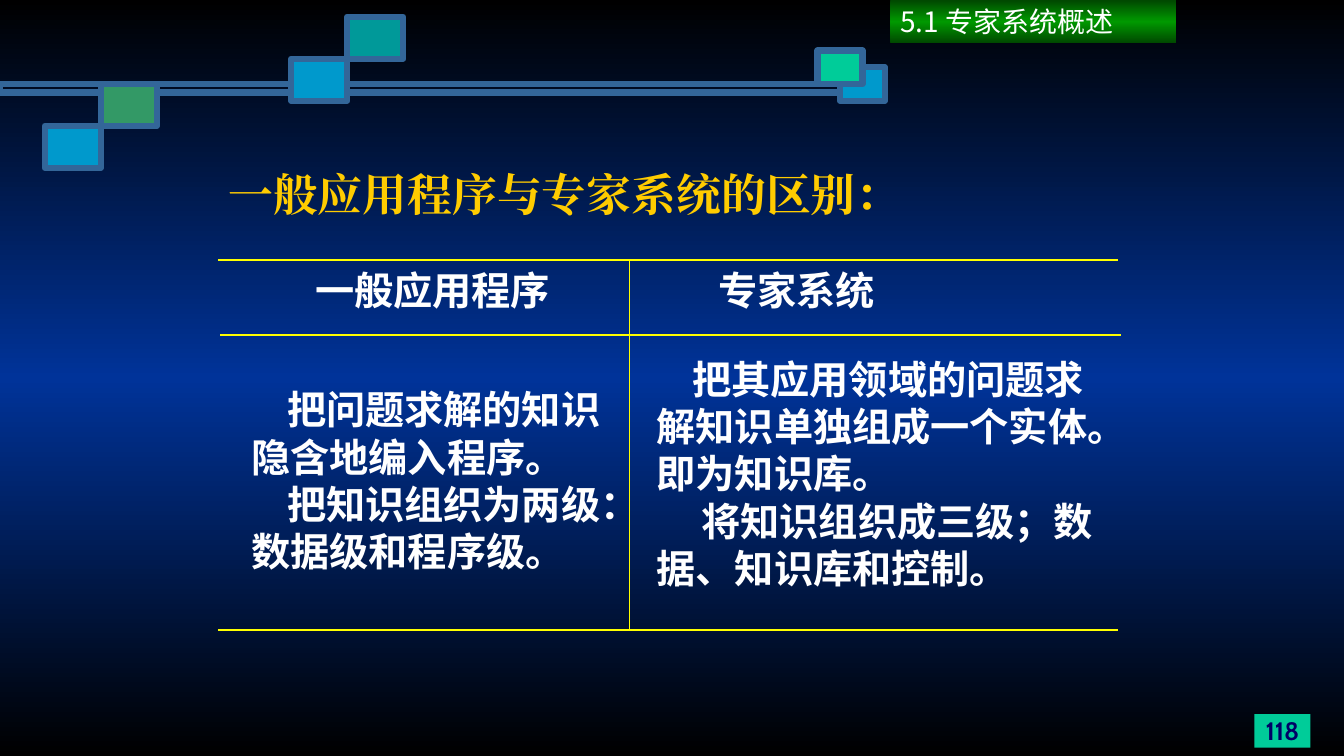
from lxml import etree
from pptx import Presentation
from pptx import util as u
from pptx.dml.color import RGBColor
from pptx.enum import shapes, text
from pptx.oxml import ns

EDGE, YELLOW, WHITE = "336699", "FFFF00", "FFFFFF"
SANS = "Noto Sans CJK JP"
NIGHT = ["000000", "003399", "000000"]
LEAF = ["004700", "009900", "004700"]

BOXES = [
    (0, 60, 616, 6, None),
    (600, 48, 32, 24, "0099CC"),
    (584, 36, 32, 24, "00CC99"),
    (208, 42, 40, 30, "0099CC"),
    (32, 90, 40, 30, "0099CC"),
    (72, 60, 40, 30, "339966"),
    (248, 12, 40, 30, "009999"),
]
TITLE = "一般应用程序与专家系统的区别："
HEADS = "一般应用程序\t专家系统"
LEFT = [
    (25.5, "把问题求解的知识隐含地编入程序。"),
    (25.5, "把知识组织为两级：数据级和程序级。"),
]
RIGHT = [
    (25.5, "把其应用领域的问题求解知识单独组成一个实体。即为知识库。"),
    (32, "将知识组织成三级；数据、知识库和控制。"),
]
RULES = [
    (156, 186, 798.5, 186, 1.5),
    (157.5, 239, 800.5, 239, 1.5),
    (156, 450, 798.5, 450, 1.5),
    (449.5, 186, 449.5, 450, 0.75),
]


def color(code):
    return RGBColor.from_string(code)


def grade(fill, root, codes):
    fill.gradient()
    fill.gradient_angle = 90
    stops = next(root.iter(ns.qn("a:gsLst")))
    for old in list(stops):
        stops.remove(old)
    for i, code in enumerate(codes):
        stop = etree.SubElement(stops, ns.qn("a:gs"), pos=str(i * 50000))
        etree.SubElement(stop, ns.qn("a:srgbClr"), val=code)


def box(x, y, w, h, fill=None, edge=None):
    item = slide.shapes.add_shape(
        shapes.MSO_SHAPE.RECTANGLE, u.Pt(x), u.Pt(y), u.Pt(w), u.Pt(h))
    item.shadow.inherit = False
    if fill:
        item.fill.solid()
        item.fill.fore_color.rgb = color(fill)
    else:
        item.fill.background()
    if edge:
        item.line.color.rgb = color(edge)
        item.line.width = u.Pt(4.5)
    else:
        item.line.fill.background()
    return item


def label(x, y, w, h):
    return slide.shapes.add_textbox(u.Pt(x), u.Pt(y), u.Pt(w), u.Pt(h))


def write(item, lines, size, face, code, bold=True, mid=False, align="LEFT", tab=None):
    frame = item.text_frame
    frame.word_wrap = True
    frame.vertical_anchor = text.MSO_ANCHOR.MIDDLE if mid else text.MSO_ANCHOR.TOP
    for i, (dent, line) in enumerate(lines):
        para = frame.add_paragraph() if i else frame.paragraphs[0]
        para.alignment = text.PP_ALIGN[align]
        props = para._p.get_or_add_pPr()
        if dent:
            props.set("indent", str(u.Pt(dent)))
        if tab:
            tabs = etree.SubElement(props, ns.qn("a:tabLst"))
            etree.SubElement(tabs, ns.qn("a:tab"), pos=str(u.Pt(tab)), algn="l")
        font = para.font
        font.size, font.bold, font.name = u.Pt(size), bold, face
        font.color.rgb = color(code)
        base = props.find(ns.qn("a:defRPr"))
        etree.SubElement(base, ns.qn("a:ea"), typeface=face)
        para.add_run().text = line


def rule(x1, y1, x2, y2, width):
    line = slide.shapes.add_connector(
        shapes.MSO_CONNECTOR.STRAIGHT, u.Pt(x1), u.Pt(y1), u.Pt(x2), u.Pt(y2))
    line.line.color.rgb = color(YELLOW)
    line.line.width = u.Pt(width)
    etree.SubElement(line._element.spPr, ns.qn("a:effectLst"))


deck = Presentation()
deck.slide_width, deck.slide_height = u.Pt(960), u.Pt(540)
slide = deck.slides.add_slide(deck.slide_layouts[6])
grade(slide.background.fill, slide._element, NIGHT)

for spot in BOXES:
    box(*spot, EDGE)

page = box(896, 510, 40, 24, "00CC99")
page.text_frame.margin_left = page.text_frame.margin_right = 0
write(page, [(0, "118")], 18, "Cabin", "000066", mid=True, align="CENTER")

write(label(156, 114, 612, 48), [(0, TITLE)], 32, "Times New Roman", "FFCC00", mid=True)
write(label(218, 187, 415, 41), [(0, HEADS)], 28, SANS, WHITE, tab=288)
write(label(172.5, 272, 271.5, 142), LEFT, 28, SANS, WHITE)
write(label(462, 250.5, 336, 176), RIGHT, 28, SANS, WHITE)

for ends in RULES:
    rule(*ends)

topic = box(636, 0, 204, 31)
grade(topic.fill, topic._element, LEAF)
write(topic, [(0, "5.1 专家系统概述")], 20, "Noto Sans CJK SC", WHITE, bold=False, mid=True)

deck.save("out.pptx")
